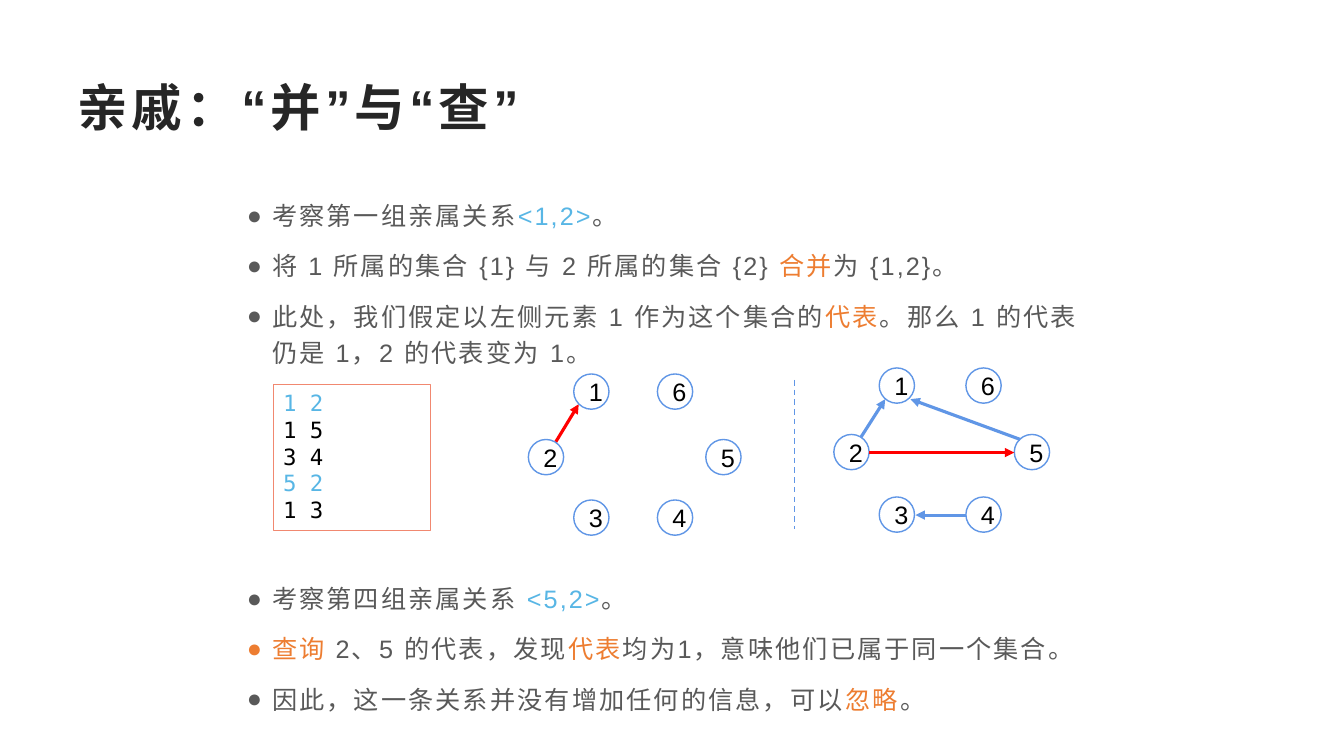
from dataclasses import dataclass
from lxml.etree import SubElement
from pptx import Presentation
from pptx.dml.color import RGBColor
from pptx.enum.dml import MSO_LINE
from pptx.enum.lang import MSO_LANGUAGE_ID
from pptx.enum.shapes import MSO_CONNECTOR, MSO_SHAPE
from pptx.enum.text import MSO_ANCHOR, PP_ALIGN
from pptx.oxml.ns import qn
from pptx.util import Emu, Pt

EMU_PER_PX = 9144


@dataclass(frozen=True)
class Theme:
    white: str = "FFFFFF"
    black: str = "000000"
    heading: str = "262626"
    body: str = "595959"
    cyan: str = "58B6E5"
    orange: str = "ED7D31"
    blue: str = "6096E6"
    red: str = "FF0000"
    coral: str = "F18870"
    sans: str = "Arial"
    mono: str = "DejaVu Sans Mono"
    title_size: int = 36
    body_size: int = 18
    code_size: int = 16
    arrow_width: float = 2.25
    outline_width: float = 1
    frame_width: float = 0.75


NODE_SIZE = 35
NODE_CELLS = {"1": (1, 0), "2": (0, 1), "3": (1, 2),
              "4": (2, 2), "5": (3, 1), "6": (2, 0)}


def px(value):
    return Emu(value * EMU_PER_PX)


def set_attributes(target, values):
    for name, value in values.items():
        setattr(target, name, value)


class SlideBuilder:
    def __init__(self, slide, theme):
        self.slide = slide
        self.theme = theme

    def write_run(self, paragraph, text, color, size, name=None, bold=False, spacing=0):
        run = paragraph.add_run()
        run.text = text
        name = name or self.theme.sans
        set_attributes(run.font, {"size": Pt(size), "name": name, "bold": bold,
                                  "language_id": MSO_LANGUAGE_ID.SIMPLIFIED_CHINESE})
        run.font.color.rgb = RGBColor.from_string(color)
        properties = run.font._element
        properties.set("spc", str(spacing))
        SubElement(properties, qn("a:ea")).set("typeface", name)

    def text_box(self, *box):
        frame = self.slide.shapes.add_textbox(*map(px, box)).text_frame
        frame.word_wrap = True
        return frame

    def title(self, text, *box):
        frame = self.text_box(*box)
        frame.vertical_anchor = MSO_ANCHOR.MIDDLE
        self.write_run(frame.paragraphs[0], text, self.theme.heading,
                       self.theme.title_size, bold=True, spacing=300)

    def bullets(self, items, *box):
        frame = self.text_box(*box)
        for index, runs in enumerate(items):
            paragraph = frame.add_paragraph() if index else frame.paragraphs[0]
            properties = paragraph._p.get_or_add_pPr()
            properties.set("marL", str(px(25)))
            properties.set("indent", str(px(-25)))
            SubElement(properties, qn("a:buFont")).set("typeface", self.theme.sans)
            SubElement(properties, qn("a:buChar")).set("char", "●")
            set_attributes(paragraph, {"line_spacing": 1.2, "space_after": Pt(10)})
            for text, color in runs:
                self.write_run(paragraph, text, color, self.theme.body_size, spacing=150)

    def panel(self, preset, line_color, line_width, *box):
        shape = self.slide.shapes.add_shape(preset, *map(px, box))
        shape.shadow.inherit = False
        shape.fill.solid()
        shape.fill.fore_color.rgb = RGBColor.from_string(self.theme.white)
        shape.line.color.rgb = RGBColor.from_string(line_color)
        shape.line.width = Pt(line_width)
        return shape.text_frame

    def code_box(self, lines, *box):
        frame = self.panel(MSO_SHAPE.RECTANGLE, self.theme.coral, self.theme.frame_width, *box)
        frame.vertical_anchor = MSO_ANCHOR.TOP
        for index, (text, color) in enumerate(lines):
            paragraph = frame.add_paragraph() if index else frame.paragraphs[0]
            paragraph.alignment = PP_ALIGN.LEFT
            self.write_run(paragraph, text, color, self.theme.code_size, self.theme.mono)

    def nodes(self, columns, rows):
        for label, (column, row) in NODE_CELLS.items():
            frame = self.panel(MSO_SHAPE.OVAL, self.theme.blue, self.theme.outline_width,
                               columns[column], rows[row], NODE_SIZE, NODE_SIZE)
            frame.vertical_anchor = MSO_ANCHOR.MIDDLE
            paragraph = frame.paragraphs[0]
            paragraph.alignment = PP_ALIGN.CENTER
            self.write_run(paragraph, label, self.theme.black, self.theme.body_size)

    def line(self, color, width, *ends):
        connector = self.slide.shapes.add_connector(MSO_CONNECTOR.STRAIGHT, *map(px, ends))
        connector.line.color.rgb = RGBColor.from_string(color)
        connector.line.width = Pt(width)
        SubElement(connector._element.spPr, qn("a:effectLst"))
        return connector.line

    def arrow(self, color, *ends):
        line = self.line(color, self.theme.arrow_width, *ends)
        SubElement(line._get_or_add_ln(), qn("a:tailEnd")).set("type", "triangle")

    def divider(self, *ends):
        line = self.line(self.theme.blue, self.theme.outline_width, *ends)
        line.dash_style = MSO_LINE.DASH


def main():
    theme = Theme()
    presentation = Presentation()
    set_attributes(presentation, {"slide_width": px(1333), "slide_height": px(750)})
    slide = presentation.slides.add_slide(presentation.slide_layouts[6])
    builder = SlideBuilder(slide, theme)

    builder.title("亲戚：“并”与“查”", 67, 67, 1200, 77)
    builder.bullets([
        [("考察第一组亲属关系", theme.body), ("<1,2>", theme.cyan), ("。", theme.body)],
        [("将 1 所属的集合 {1} 与 2 所属的集合 {2} ", theme.body),
         ("合并", theme.orange), ("为 {1,2}。", theme.body)],
        [("此处，我们假定以左侧元素 1 作为这个集合的", theme.body), ("代表", theme.orange),
         ("。那么 1 的代表仍是 1，2 的代表变为 1。", theme.body)],
    ], 235, 188, 863, 190)
    builder.bullets([
        [("考察第四组亲属关系 ", theme.body), ("<5,2>", theme.cyan), ("。", theme.body)],
        [("查询 ", theme.orange), ("2、5 的代表，发现", theme.body), ("代表", theme.orange),
         ("均为1，意味他们已属于同一个集合。", theme.body)],
        [("因此，这一条关系并没有增加任何的信息，可以", theme.body),
         ("忽略", theme.orange), ("。", theme.body)],
    ], 235, 568, 863, 156)

    builder.code_box([("1 2", theme.cyan), ("1 5", theme.black), ("3 4", theme.black),
                      ("5 2", theme.cyan), ("1 3", theme.black)], 271, 381, 156, 145)

    builder.arrow(theme.red, 546, 447, 574, 401)
    builder.nodes((524, 569, 652, 700), (371, 436, 496))

    builder.divider(788, 377, 788, 525)

    builder.arrow(theme.blue, 848, 443, 878, 396)
    builder.nodes((827, 872, 958, 1006), (365, 431, 493))
    builder.arrow(theme.blue, 1012, 436, 903, 396)
    builder.arrow(theme.blue, 958, 511, 908, 511)
    builder.arrow(theme.red, 862, 449, 1006, 449)

    presentation.save("out.pptx")


if __name__ == "__main__":
    main()
